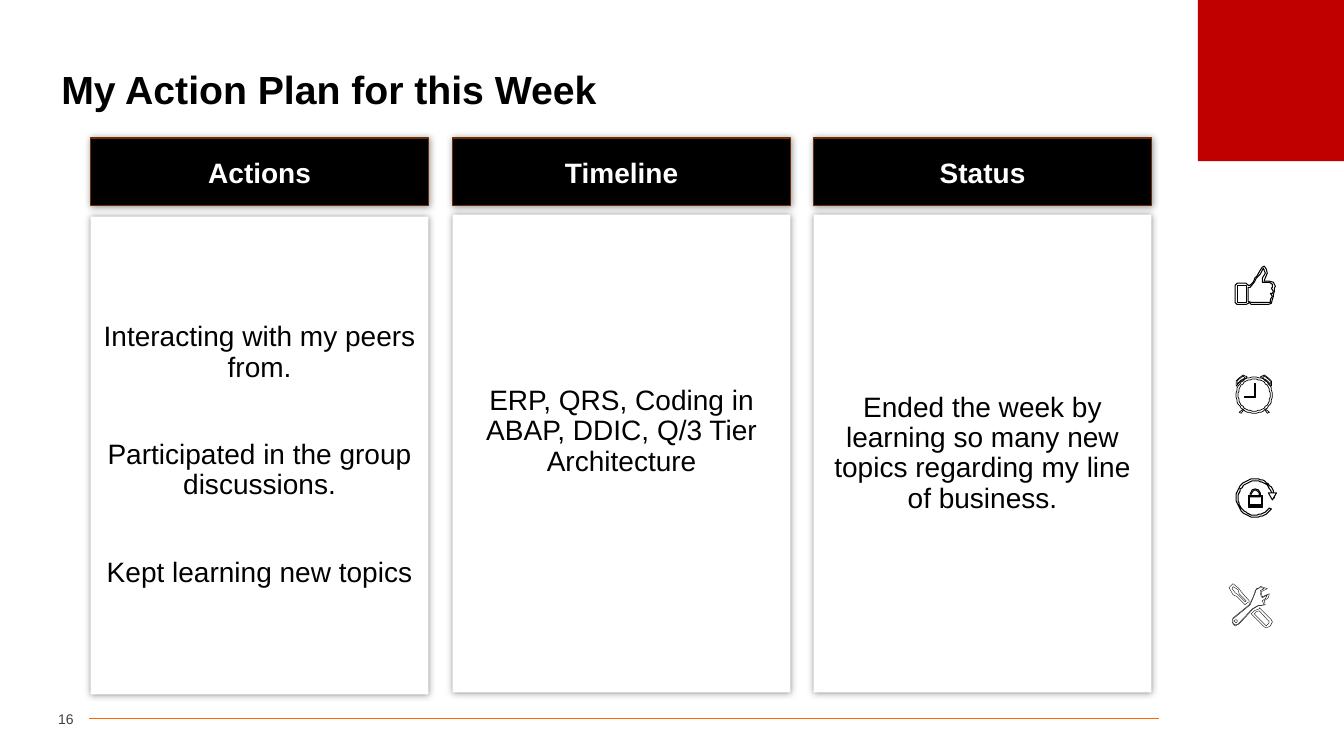
import math

import pptx
import pptx.dml.color
import pptx.enum.shapes
import pptx.enum.text
import pptx.oxml
import pptx.oxml.ns
import pptx.util

PX = 9144
FONT = "Arial"
COLORS = {
    "black": "000000", "white": "FFFFFF", "red": "C00000",
    "orange": "FF6600", "brown": "702D00", "gray": "404040",
}
ALIGN = pptx.enum.text.PP_ALIGN
RECTANGLE = pptx.enum.shapes.MSO_SHAPE.RECTANGLE
ELLIPSE = pptx.enum.shapes.MSO_SHAPE.OVAL
SHADOW = (
    "<a:effectLst %s><a:outerShdw blurRad='63500' dist='0' dir='0'>"
    "<a:srgbClr val='000000'><a:alpha val='40000'/></a:srgbClr>"
    "</a:outerShdw></a:effectLst>" % pptx.oxml.ns.nsdecls("a")
)
COLUMNS = [
    (90, 215, "Actions", ["Interacting with my peers from.",
                          "Participated in the group discussions.",
                          "Kept learning new topics"], 5),
    (449, 213, "Timeline", ["ERP, QRS, Coding in ABAP, DDIC, Q/3 Tier Architecture"], 48),
    (807, 213, "Status", ["Ended the week by learning so many new topics "
                          "regarding my line of business."], 5),
]


def color(name):
    return pptx.dml.color.RGBColor.from_string(COLORS[name])


def apply(target, values):
    for name, value in values.items():
        setattr(target, name, value)


def box_px(*lengths):
    return [length * PX for length in lengths]


def paint(shape, fill, line=None, width=1):
    shape.shadow.inherit = False
    shape.fill.solid()
    shape.fill.fore_color.rgb = color(fill)
    if line:
        shape.line.color.rgb = color(line)
        shape.line.width = pptx.util.Pt(width)
    else:
        shape.line.fill.background()


def cast_shadow(shape):
    properties = shape._element.spPr
    properties.remove(properties.find(pptx.oxml.ns.qn("a:effectLst")))
    properties.append(pptx.oxml.parse_xml(SHADOW))


def write(shape, texts, size, ink, bold=False, frame_format=None, paragraph_format=None, gap=None):
    frame = shape.text_frame
    apply(frame, {"word_wrap": True, "vertical_anchor": pptx.enum.text.MSO_ANCHOR.MIDDLE,
                  **(frame_format or {})})
    for index, text in enumerate(texts):
        paragraph = frame.paragraphs[0] if index == 0 else frame.add_paragraph()
        apply(paragraph, paragraph_format or {})
        if index and gap:
            paragraph.space_before = pptx.util.Pt(gap)
        run = paragraph.add_run()
        run.text = text
        apply(run.font, {"name": FONT, "size": pptx.util.Pt(size), "bold": bold})
        run.font.color.rgb = color(ink)


def add_frame(slide):
    rule = slide.shapes.add_connector(pptx.enum.shapes.MSO_CONNECTOR.STRAIGHT,
                                      *box_px(88, 713, 1150, 713))
    rule.line.color.rgb = color("orange")
    rule.line.width = pptx.util.Pt(0.5)
    rule._element.spPr.append(
        pptx.oxml.parse_xml("<a:effectLst %s/>" % pptx.oxml.ns.nsdecls("a")))
    paint(slide.shapes.add_shape(RECTANGLE, *box_px(1188, 0, 146, 160)), "red")
    title = slide.shapes.add_textbox(*box_px(51, 52, 1231, 78))
    write(title, ["My Action Plan for this Week"], 28, "black", True,
          paragraph_format={"line_spacing": 0.9})
    number = slide.shapes.add_textbox(*box_px(33, 699, 40, 29))
    write(number, ["16"], 10, "gray", frame_format={"margin_left": 0, "margin_right": 0},
          paragraph_format={"alignment": ALIGN.RIGHT})


def add_column_body(slide, left, top, texts, bottom_margin):
    body = slide.shapes.add_shape(RECTANGLE, *box_px(left, top, 335, 474))
    paint(body, "white")
    cast_shadow(body)
    write(body, texts, 20, "black", frame_format={"margin_bottom": bottom_margin * PX},
          paragraph_format={"alignment": ALIGN.CENTER, "line_spacing": 0.9,
                            "space_before": pptx.util.Pt(10)}, gap=41)


def add_column_header(slide, left, heading):
    header = slide.shapes.add_shape(RECTANGLE, *box_px(left, 137, 335, 67))
    paint(header, "black", "brown")
    cast_shadow(header)
    write(header, [heading], 20, "white", True, paragraph_format={"alignment": ALIGN.CENTER})


def arc(center_x, center_y, radius, start, end, steps=48):
    angles = [math.radians(start + (end - start) * step / steps) for step in range(steps + 1)]
    return [(center_x + radius * math.cos(angle), center_y + radius * math.sin(angle))
            for angle in angles]


def mirror(outlines, axis_sum):
    return [[(axis_sum - x, y) for x, y in outline] for outline in outlines]


def rectangle(left, top, right, bottom):
    return [(left, top), (right, top), (right, bottom), (left, bottom)]


THUMB = [
    [(65, 43), (66, 41), (64, 37), (60, 36), (55, 36), (55, 35), (58, 28), (57, 24), (55, 21),
     (53, 22), (51, 25), (47, 32), (46, 32), (44, 37), (41, 40), (39, 40), (37, 38), (28, 38),
     (26, 40), (26, 57), (28, 59), (37, 59), (39, 58), (40, 57), (42, 59), (59, 59), (62, 58),
     (63, 54), (64, 51), (64, 49), (65, 46)],
    rectangle(28, 40, 37, 57),
    [(63, 42), (62, 43), (64, 46), (63, 48), (61, 48), (63, 51), (61, 54), (61, 57), (42, 57),
     (39, 56), (39, 42), (41, 42), (45, 37), (47, 33), (51, 29), (53, 25), (54, 23), (56, 28),
     (53, 33), (53, 37), (60, 37), (63, 39)],
]
BELL = [
    [(61, 36), (61, 35), (57, 31), (52, 28), (51, 27), (55, 25), (59, 28), (62, 31), (62, 36)],
    [(53, 28), (57, 30), (61, 34), (61, 31), (59, 29), (55, 26)],
]
LEG = [[(58, 63), (55, 59), (55, 58), (60, 62)]]
CLOCK = [
    BELL, mirror(BELL, 89), LEG, mirror(LEG, 90),
    [arc(45, 45, 18, 0, 360), arc(45, 45, 16, 0, 360)],
    [[(46, 47), (35, 47), (35, 46), (45, 46), (45, 33), (46, 33)]],
]
LOCK = [
    [arc(46, 45, 19, 0, -325) + arc(46, 45, 17, -325, 0)],
    [[(59, 40), (63, 47), (67, 40)]],
    [[(41, 44), (41, 41), (43, 37), (46, 36), (49, 37), (51, 40), (51, 44)],
     [(42, 43), (42, 41), (44, 38), (46, 37), (48, 38), (50, 40), (50, 43)]],
    [rectangle(39, 43, 53, 54), rectangle(40, 44, 52, 52)],
]
TOOLS = [
    [[(60, 68), (58, 67), (45, 54), (48, 51), (53, 49), (53, 48), (65, 60), (66, 62), (64, 66)],
     [(60, 66), (62, 64), (63, 62), (53, 51), (50, 52), (48, 54)]],
    [[(39, 45), (31, 37), (27, 35), (23, 28), (27, 24), (33, 29), (35, 32), (43, 41), (43, 42),
      (41, 43)],
     [(29, 33), (32, 35), (39, 42), (40, 41), (33, 34), (32, 30), (27, 27), (26, 29)]],
    [[(55, 27), (54, 27), (49, 31), (47, 37), (43, 45), (27, 58), (26, 61), (27, 64), (29, 66),
      (33, 64), (47, 49), (52, 46), (59, 45), (58, 41), (62, 38), (63, 34), (56, 37), (55, 33),
      (55, 32), (61, 29)],
     [(55, 28), (58, 29), (54, 31), (54, 33), (55, 37), (56, 38), (61, 35), (59, 39), (56, 41),
      (58, 45), (51, 46), (46, 49), (32, 64), (29, 65), (27, 63), (27, 59), (44, 45), (49, 33),
      (50, 29)],
     [(30, 63), (28, 61), (29, 60), (31, 60), (31, 62)]],
]
ICONS = [
    (1199, 243, [THUMB], 0.75),
    (1199, 347, CLOCK, 0.5),
    (1199, 449, LOCK, 0.75),
    (1196, 555, TOOLS, 0.25),
]


def add_icon(slide, left, top, parts, width):
    group = slide.shapes.add_group_shape()
    paint(group.shapes.add_shape(ELLIPSE, *box_px(left, top, 90, 90)), "white")
    for outlines in parts:
        builder = group.shapes.build_freeform(*outlines[0][0], scale=PX)
        for index, outline in enumerate(outlines):
            if index:
                builder.move_to(*outline[0])
            builder.add_line_segments(outline[1:], close=True)
        paint(builder.convert_to_shape(*box_px(left, top)), "white", "black", width)


def main():
    presentation = pptx.Presentation()
    apply(presentation, {"slide_width": 1333 * PX, "slide_height": 750 * PX})
    slide = presentation.slides.add_slide(presentation.slide_layouts[6])
    add_frame(slide)
    for left, top, heading, texts, bottom_margin in COLUMNS:
        add_column_body(slide, left, top, texts, bottom_margin)
    for left, top, heading, texts, bottom_margin in COLUMNS:
        add_column_header(slide, left, heading)
    for icon in ICONS:
        add_icon(slide, *icon)
    presentation.save("out.pptx")


if __name__ == "__main__":
    main()
